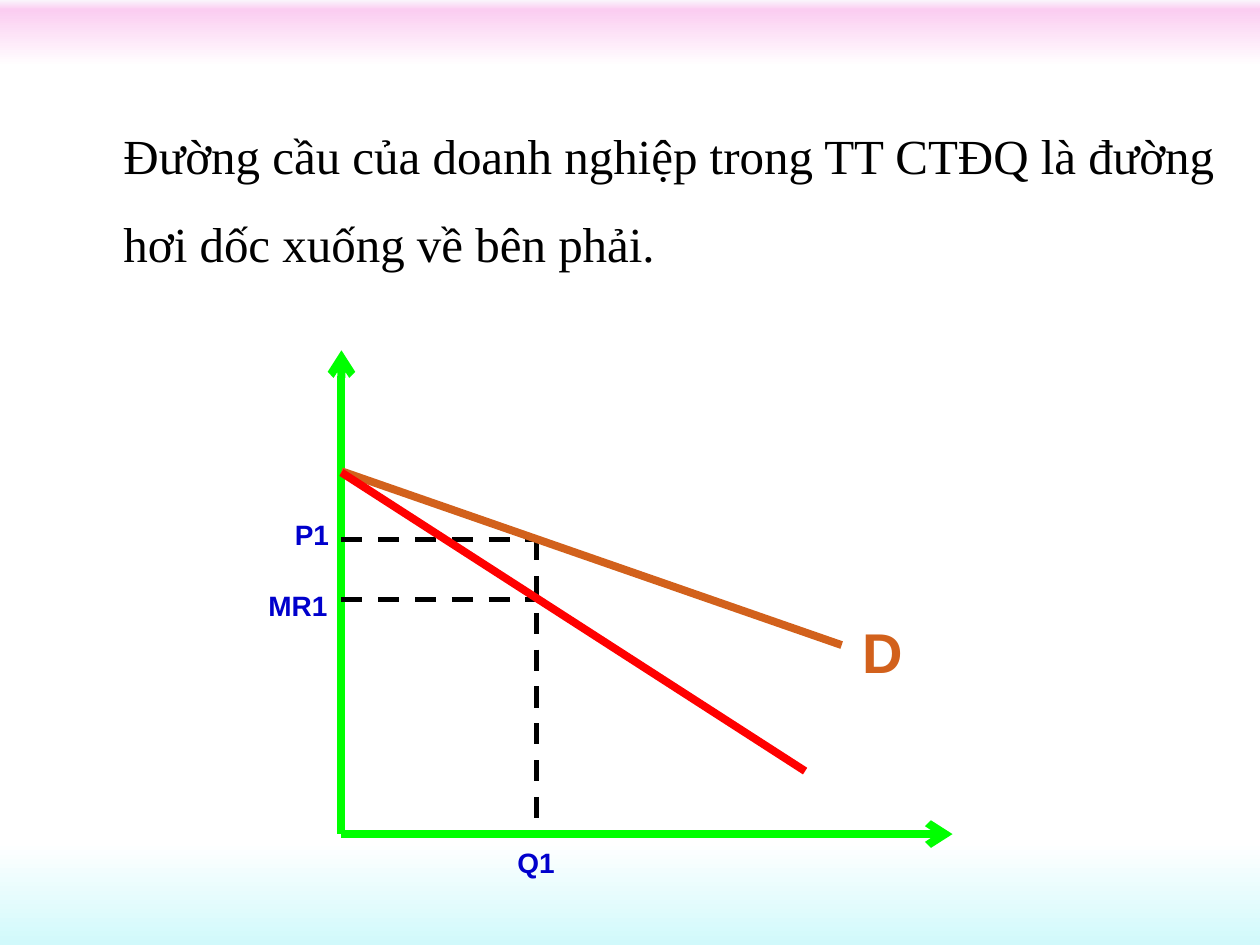
from lxml.etree import SubElement
from pptx import Presentation
from pptx.dml.color import RGBColor
from pptx.enum.dml import MSO_LINE
from pptx.enum.shapes import MSO_CONNECTOR
from pptx.enum.text import MSO_ANCHOR, MSO_AUTO_SIZE, PP_ALIGN
from pptx.oxml.ns import qn
from pptx.util import Inches, Pt

BLACK = RGBColor(0x00, 0x00, 0x00)
GREEN = RGBColor(0x00, 0xFF, 0x00)
ORANGE = RGBColor(0xD2, 0x61, 0x1C)
RED = RGBColor(0xFF, 0x00, 0x00)
BLUE = RGBColor(0x00, 0x00, 0xCC)
BACKGROUND_STOPS = [(0, "FAF6FC"), (1, "FBCDF1"), (7, "FFFFFF"),
                    (89, "FFFFFF"), (100, "D1F9FB")]

COLUMNS, ROWS = 10, 7.5
CELL = Inches(1)

AXIS_X, AXIS_Y = 2.71, 6.62
QUANTITY = 4.26
PRICE, MARGINAL_REVENUE = 4.28, 4.76


def write(para, text, *, size, color, font="Arial", bold=False, align=PP_ALIGN.CENTER):
    para.alignment = align
    span = para.add_run()
    span.text = text
    span.font.name = font
    span.font.size = Pt(size)
    span.font.bold = bold
    span.font.color.rgb = color


class ChartPage:
    """Draws on one slide, with lengths in grid columns and rows."""

    def __init__(self, deck):
        self.page = deck.slides.add_slide(deck.slide_layouts[5])

    def background(self, stops):
        fill = self.page.background.fill
        fill.gradient()
        gradient = self.page.background._cSld.find(".//" + qn("a:gradFill"))
        for child in list(gradient):
            gradient.remove(child)
        stop_list = SubElement(gradient, qn("a:gsLst"))
        for percent, color in stops:
            stop = SubElement(stop_list, qn("a:gs"), pos=str(percent * 1000))
            SubElement(stop, qn("a:srgbClr"), val=color)
        SubElement(gradient, qn("a:lin"), ang="5400000", scaled="0")

    def title(self, text, left, top, width, height):
        box = self.page.shapes.title
        box.left, box.top, box.width, box.height = (
            round(value * CELL) for value in (left, top, width, height))
        frame = box.text_frame
        frame.word_wrap = True
        frame.auto_size = MSO_AUTO_SIZE.NONE
        frame.vertical_anchor = MSO_ANCHOR.MIDDLE
        para = frame.paragraphs[0]
        para.line_spacing = 1.5
        write(para, text, size=28, color=BLACK, font="Times New Roman",
              align=PP_ALIGN.LEFT)

    def line(self, start, end, color, width=4.5, dashed=False, arrow=False):
        """Draw a line; an arrowhead goes at its start."""
        points = [round(value * CELL) for value in (*start, *end)]
        connector = self.page.shapes.add_connector(MSO_CONNECTOR.STRAIGHT, *points)
        connector.line.color.rgb = color
        connector.line.width = Pt(width)
        if dashed:
            connector.line.dash_style = MSO_LINE.DASH
        if arrow:
            SubElement(connector.line._get_or_add_ln(), qn("a:headEnd"), type="arrow")
        SubElement(connector._element.spPr, qn("a:effectLst"))

    def label(self, text, left, top, width, height=0.37, size=16, color=BLUE):
        area = [round(value * CELL) for value in (left, top, width, height)]
        frame = self.page.shapes.add_textbox(*area).text_frame
        frame.word_wrap = False
        frame.auto_size = MSO_AUTO_SIZE.SHAPE_TO_FIT_TEXT
        write(frame.paragraphs[0], text, size=size, color=color, bold=True)


def main():
    deck = Presentation()
    deck.slide_width, deck.slide_height = round(COLUMNS * CELL), round(ROWS * CELL)
    chart = ChartPage(deck)
    chart.background(BACKGROUND_STOPS)
    chart.title("Đường cầu của doanh nghiệp trong TT CTĐQ là đường hơi dốc "
                "xuống về bên phải.", 0.88, 0.92, 8.92, 1.08)

    chart.line((AXIS_X, 2.78), (AXIS_X, AXIS_Y), GREEN, arrow=True)
    chart.line((7.56, AXIS_Y), (AXIS_X, AXIS_Y), GREEN, arrow=True)

    chart.line((QUANTITY, PRICE), (QUANTITY, 6.59), BLACK, width=3, dashed=True)
    for level in (PRICE, MARGINAL_REVENUE):
        chart.line((AXIS_X, level), (QUANTITY, level), BLACK, width=3, dashed=True)

    chart.line((AXIS_X, 3.74), (6.68, 5.12), ORANGE)
    chart.line((AXIS_X, 3.75), (6.39, 6.12), RED)

    chart.label("Q1", 3.98, 6.66, 0.55)
    chart.label("P1", 2.24, 4.06, 0.47)
    chart.label("MR1", 2.01, 4.62, 0.71)
    chart.label("D", 6.73, 4.85, 0.55, height=0.63, size=32, color=ORANGE)
    deck.save("out.pptx")


if __name__ == "__main__":
    main()
